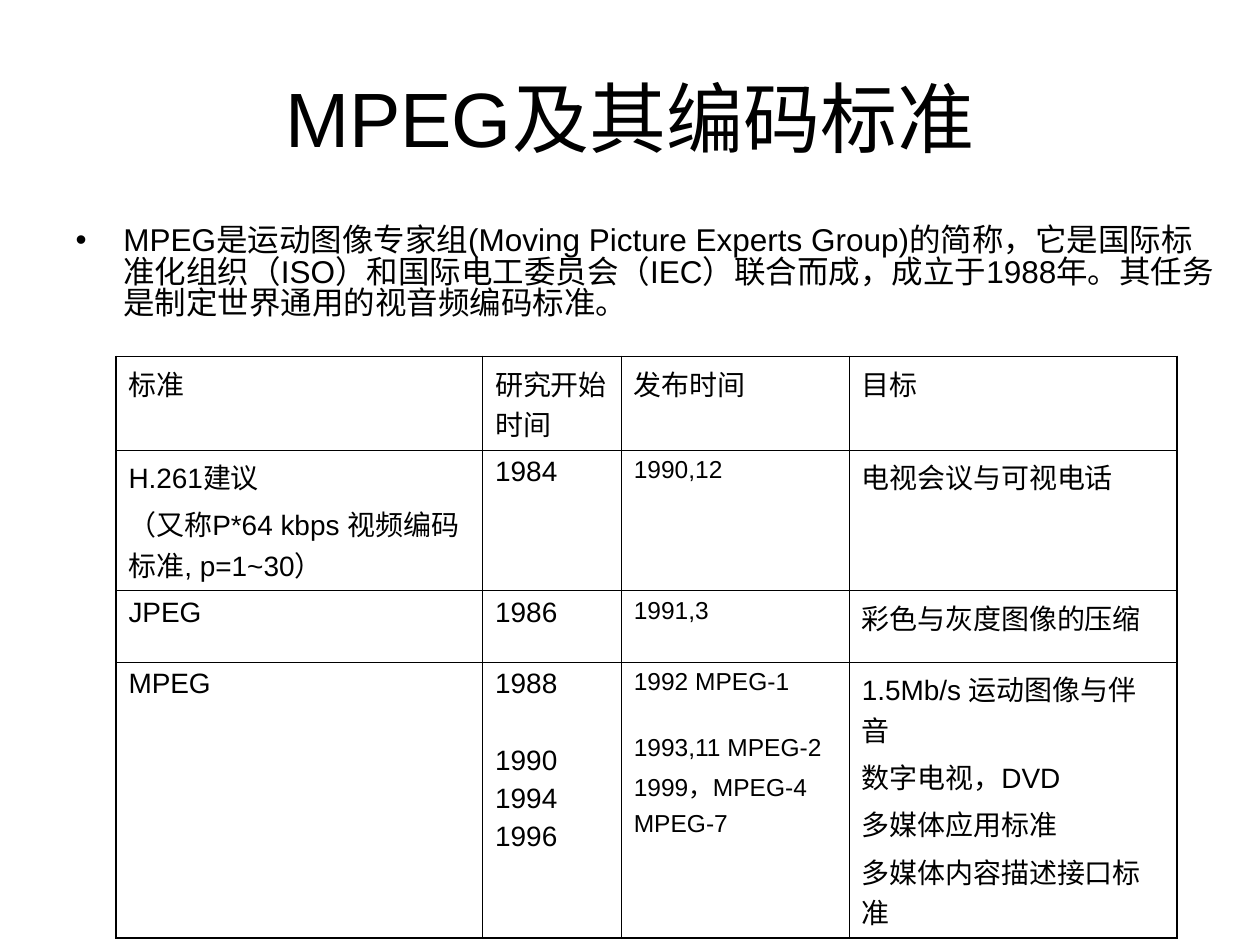
from pptx import Presentation
from pptx.dml.color import RGBColor
from pptx.enum.text import MSO_ANCHOR as Anchor, MSO_AUTO_SIZE as AutoSize, PP_ALIGN as Align
from pptx.oxml import parse_xml
from pptx.oxml.ns import nsdecls
from pptx.util import Inches, Pt

BLACK = "000000"
THIN, THICK = 0.45, 1.08

TITLE = "MPEG及其编码标准"
INTRO = ("MPEG是运动图像专家组(Moving Picture Experts Group)的简称，它是国际标准化组织（ISO）"
         "和国际电工委员会（IEC）联合而成，成立于1988年。其任务是制定世界通用的视音频编码标准。")

# One list per row; each cell holds its paragraphs
STANDARDS = [
    [["标准"], ["研究开始时间"], ["发布时间"], ["目标"]],
    [["H.261建议", "（又称P*64 kbps 视频编码标准, p=1~30）"],
     ["1984"], ["1990,12"], ["电视会议与可视电话"]],
    [["JPEG"], ["1986"], ["1991,3"], ["彩色与灰度图像的压缩"]],
    [["MPEG"],
     ["1988", "1990", "1994", "1996"],
     ["1992 MPEG-1", "1993,11 MPEG-2", "1999，MPEG-4", "MPEG-7"],
     ["1.5Mb/s 运动图像与伴音", "数字电视，DVD", "多媒体应用标准", "多媒体内容描述接口标准"]],
]
COLUMN_WIDTHS = [2.91, 1.1, 1.81, 2.6]
ROW_HEIGHTS = [0.69, 0.96, 0.57, 1.87]
DATE_COLUMN = 2
# Wider space that sets the second MPEG date apart from the first
WIDE_GAPS = {(3, 1, 1): 26, (3, 2, 1): 22}


def color(value):
    return RGBColor.from_string(value)


class SlideBuilder:
    font = "Arial"

    def __init__(self, deck):
        self.page = deck.slides.add_slide(deck.slide_layouts[1])

    def add_text(self, para, text, size, **formats):
        span = para.add_run()
        span.text = text
        for name, value in {"name": self.font, "size": Pt(size), "bold": False}.items():
            setattr(span.font, name, value)
        span.font.color.rgb = color(BLACK)
        for name, value in formats.items():
            setattr(para, name, value)

    def place(self, box, left, top, width, height, anchor):
        for name, value in dict(left=left, top=top, width=width, height=height).items():
            setattr(box, name, Inches(value))
        frame = box.text_frame
        for name, value in dict(word_wrap=True, auto_size=AutoSize.NONE,
                                vertical_anchor=anchor).items():
            setattr(frame, name, value)
        return frame.paragraphs[0]

    def title(self, text, *position):
        para = self.place(self.page.shapes.title, *position, Anchor.MIDDLE)
        self.add_text(para, text, 44, alignment=Align.CENTER)

    def bullet(self, text, *position):
        para = self.place(self.page.placeholders[1], *position, Anchor.TOP)
        self.add_text(para, text, 18, alignment=Align.LEFT, line_spacing=0.83,
                      space_before=Pt(6.8), space_after=Pt(4.5))
        props = para._p.get_or_add_pPr()
        props.set("marL", str(Inches(0.38)))
        props.set("indent", str(-Inches(0.38)))
        props.append(parse_xml(f'<a:buChar {nsdecls("a")} char="•"/>'))

    def borders(self, cell, widths):
        props = cell._tc.get_or_add_tcPr()
        for side, width in widths.items():
            props.append(parse_xml(
                f'<a:ln{side} {nsdecls("a")} w="{int(Pt(width))}"><a:solidFill>'
                f'<a:srgbClr val="{BLACK}"/></a:solidFill></a:ln{side}>'))

    def table(self, rows, left, top, widths, heights):
        grid = self.page.shapes.add_table(
            len(heights), len(widths), Inches(left), Inches(top),
            Inches(sum(widths)), Inches(sum(heights))).table
        grid.first_row = grid.horz_banding = False
        for column, width in zip(grid.columns, widths):
            column.width = Inches(width)
        for row, height in zip(grid.rows, heights):
            row.height = Inches(height)

        last_row, last_col = len(heights) - 1, len(widths) - 1
        for r, row in enumerate(rows):
            for c, lines in enumerate(row):
                cell = grid.cell(r, c)
                outer = {"L": c == 0, "R": c == last_col, "T": r == 0, "B": r == last_row}
                self.borders(cell, {side: THICK if edge else THIN
                                    for side, edge in outer.items()})
                cell.fill.background()
                size = 14 if c == DATE_COLUMN and r > 0 else 16
                for i, line in enumerate(lines):
                    frame = cell.text_frame
                    para = frame.add_paragraph() if i else frame.paragraphs[0]
                    gap = WIDE_GAPS.get((r, c, i), size / 4)
                    self.add_text(para, line, size, space_before=Pt(gap))


def main():
    deck = Presentation()
    deck.slide_width, deck.slide_height = Inches(10), Inches(7.5)
    slide = SlideBuilder(deck)

    # Heading and introduction
    slide.title(TITLE, 0.5, 0.3, 9, 1.25)
    slide.bullet(INTRO, 0.5, 1.75, 9.25, 1.08)

    # Comparison of the standards
    slide.table(STANDARDS, 0.92, 2.83, COLUMN_WIDTHS, ROW_HEIGHTS)

    deck.save("out.pptx")


if __name__ == "__main__":
    main()
